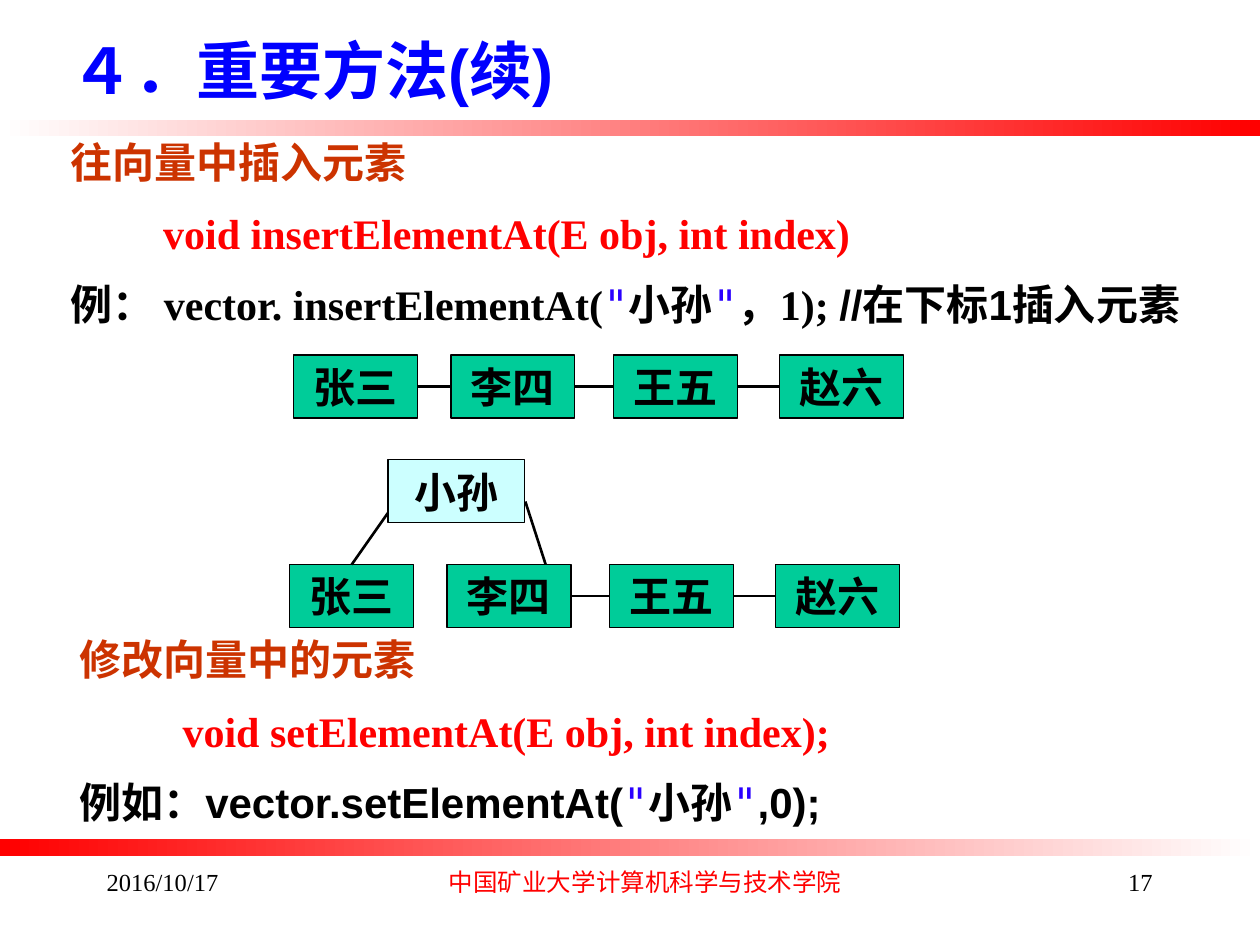
from dataclasses import dataclass

import pptx
import pptx.dml.color
import pptx.enum.shapes
import pptx.enum.text
import pptx.oxml.xmlchemy
import pptx.shapes.autoshape
import pptx.shapes.connector
import pptx.slide
import pptx.text.text
import pptx.util

Cm = pptx.util.Cm
Pt = pptx.util.Pt
ALIGN = pptx.enum.text.PP_ALIGN
ANCHOR = pptx.enum.text.MSO_ANCHOR
AUTO_SIZE = pptx.enum.text.MSO_AUTO_SIZE
RECTANGLE = pptx.enum.shapes.MSO_SHAPE.RECTANGLE
STRAIGHT = pptx.enum.shapes.MSO_CONNECTOR.STRAIGHT

COLORS = {
    "white": "FFFFFF", "black": "000000", "red": "FF0000", "blue": "0000FF",
    "heading": "CC3300", "quote": "2A00FF", "node": "00CC99", "inserted": "CCFFFF",
}
SANS, SERIF, MONO, CHINESE = "Arial", "Times New Roman", "DejaVu Sans Mono", "Noto Sans CJK SC"
NODE_NAMES = ["张三", "李四", "王五", "赵六"]
NODE_OFFSETS = [0, 3.17, 6.45, 9.8]
NODE_WIDTH, NODE_HEIGHT = 2.5, 1.27


@dataclass
class Span:
    """A stretch of text in one format."""
    text: str
    font: str = SERIF
    color: str = "black"
    bold: bool = True
    size: int = 24


@dataclass
class Line:
    """One paragraph with its alignment and first-line indent in centimetres."""
    spans: list[Span]
    align: ALIGN = ALIGN.LEFT
    indent: float = 0


@dataclass
class TextBlock:
    """A text box measured in centimetres."""
    left: float
    top: float
    width: float
    height: float
    lines: list[Line]
    auto_size: AUTO_SIZE = AUTO_SIZE.SHAPE_TO_FIT_TEXT


def rgb(name: str) -> pptx.dml.color.RGBColor:
    """Look up a named colour."""
    return pptx.dml.color.RGBColor.from_string(COLORS[name])


def apply(target: object, values: dict[str, object]) -> None:
    """Set each attribute of the target from the given values."""
    for name, value in values.items():
        setattr(target, name, value)


def add_span(para: pptx.text.text._Paragraph, span: Span) -> None:
    """Append a formatted run to a paragraph."""
    run = para.add_run()
    run.text = span.text
    run.font.color.rgb = rgb(span.color)
    apply(run.font, {"name": span.font, "size": Pt(span.size), "bold": span.bold})
    east_asian = pptx.oxml.xmlchemy.OxmlElement("a:ea")
    east_asian.set("typeface", CHINESE)
    run._r.get_or_add_rPr().append(east_asian)


def fill_frame(frame: pptx.text.text.TextFrame, lines: list[Line]) -> None:
    """Write paragraphs into a text frame with even gaps between them."""
    for number, line in enumerate(lines):
        para = frame.add_paragraph() if number else frame.paragraphs[0]
        apply(para, {"alignment": line.align, "space_before": Pt(12 if number else 0)})
        if line.indent:
            para._p.get_or_add_pPr().set("indent", str(int(Cm(line.indent))))
        for span in line.spans:
            add_span(para, span)


def add_text(page: pptx.slide.Slide, block: TextBlock) -> None:
    """Place a wrapped text box."""
    box = page.shapes.add_textbox(*map(Cm, (block.left, block.top, block.width, block.height)))
    apply(box.text_frame, {"word_wrap": True, "auto_size": block.auto_size})
    fill_frame(box.text_frame, block.lines)


def add_band(page: pptx.slide.Slide, top: float, colors: list[str]) -> None:
    """Draw a full-width band that fades from left to right."""
    band = page.shapes.add_shape(RECTANGLE, Cm(0), Cm(top), Cm(25.4), Cm(0.33))
    band.shadow.inherit = False
    band.line.fill.background()
    band.fill.gradient()
    band.fill.gradient_angle = 0
    for stop, color in zip(band.fill.gradient_stops, colors):
        stop.color.rgb = rgb(color)


def add_node(page: pptx.slide.Slide, left: float, top: float, name: str,
             color: str = "node", width: float = NODE_WIDTH) -> pptx.shapes.autoshape.Shape:
    """Draw one vector element as a labelled box."""
    box = page.shapes.add_shape(RECTANGLE, Cm(left), Cm(top), Cm(width), Cm(NODE_HEIGHT))
    box.shadow.inherit = False
    box.fill.solid()
    box.fill.fore_color.rgb = rgb(color)
    box.line.color.rgb = rgb("black")
    box.line.width = Pt(0.75)
    apply(box.text_frame, {"word_wrap": False, "vertical_anchor": ANCHOR.MIDDLE})
    fill_frame(box.text_frame, [Line([Span(name)], ALIGN.CENTER)])
    return box


def add_link(page: pptx.slide.Slide, start: tuple[float, float] = (0, 0),
             end: tuple[float, float] = (0, 0)) -> pptx.shapes.connector.Connector:
    """Draw a straight black line between two points."""
    link = page.shapes.add_connector(STRAIGHT, *map(Cm, (*start, *end)))
    link.line.color.rgb = rgb("black")
    link.line.width = Pt(1.5)
    link._element.spPr.append(pptx.oxml.xmlchemy.OxmlElement("a:effectLst"))
    return link


def add_vector(page: pptx.slide.Slide, left: float, top: float,
               first_linked: int) -> list[pptx.shapes.autoshape.Shape]:
    """Draw a row of elements, linked from the given index onwards."""
    nodes = [add_node(page, left + offset, top, name)
             for offset, name in zip(NODE_OFFSETS, NODE_NAMES)]
    linked = nodes[first_linked:]
    for before, after in zip(linked, linked[1:]):
        link = add_link(page)
        link.begin_connect(before, 3)
        link.end_connect(after, 1)
    return nodes


def add_insertion(page: pptx.slide.Slide) -> None:
    """Draw the vector before and after the insertion."""
    add_vector(page, 5.92, 7.16, 0)
    add_node(page, 7.82, 9.27, "小孙", "inserted", 2.75)
    nodes = add_vector(page, 5.84, 11.38, 1)
    link = add_link(page, (7.19, 11.38), (7.82, 10.34))
    link.begin_connect(nodes[0], 0)
    add_link(page, (10.59, 10.11), (11, 11.38))


def quoted(name: str, font: str) -> list[Span]:
    """Return a name between coloured quotation marks."""
    mark = Span('"', MONO, "quote", False)
    return [mark, Span(name, font), mark]


def footer(left: float, width: float, text: str, align: ALIGN,
           font: str = SERIF, color: str = "black") -> TextBlock:
    """Describe one footer entry."""
    return TextBlock(left, 17.35, width, 1.27,
                     [Line([Span(text, font, color, False, 14)], align)], AUTO_SIZE.NONE)


def main() -> None:
    """Build the slide and save it."""
    deck = pptx.Presentation()
    apply(deck, {"slide_width": Cm(25.4), "slide_height": Cm(19.05)})
    page = deck.slides.add_slide(deck.slide_layouts[6])
    page.background.fill.solid()
    page.background.fill.fore_color.rgb = rgb("white")
    add_band(page, 2.41, ["white", "red"])
    add_band(page, 16.92, ["red", "white"])
    insert_lines = [
        Line([Span("往向量中插入元素", CHINESE, "heading")]),
        Line([Span("void insertElementAt(E obj, int index)", color="red")], indent=1.87),
        Line([Span("例： ", SANS), Span("vector. insertElementAt("), *quoted("小孙", SERIF),
              Span("，1); "), Span("//在下标1插入元素", SANS)]),
    ]
    set_lines = [
        Line([Span("修改向量中的元素", CHINESE, "heading")]),
        Line([Span("void setElementAt(E obj, int index);", color="red")], indent=2.08),
        Line([Span("例如：vector.setElementAt(", SANS), *quoted("小孙", SANS),
              Span(",0);", SANS)]),
    ]
    title = [Line([Span("４．重要方法(续)", SANS, "blue", size=36)])]
    add_text(page, TextBlock(1.17, 2.62, 23.55, 4.52, insert_lines))
    add_insertion(page)
    for block in (
        footer(1.9, 5.28, "2016/10/17", ALIGN.LEFT),
        footer(8.69, 8.64, "中国矿业大学计算机科学与技术学院", ALIGN.CENTER, CHINESE, "red"),
        footer(18.21, 5.28, "17", ALIGN.RIGHT),
        TextBlock(1.17, 0.51, 22.35, 1.8, title),
        TextBlock(1.35, 12.65, 23.29, 4.52, set_lines),
    ):
        add_text(page, block)
    deck.save("out.pptx")


if __name__ == "__main__":
    main()
